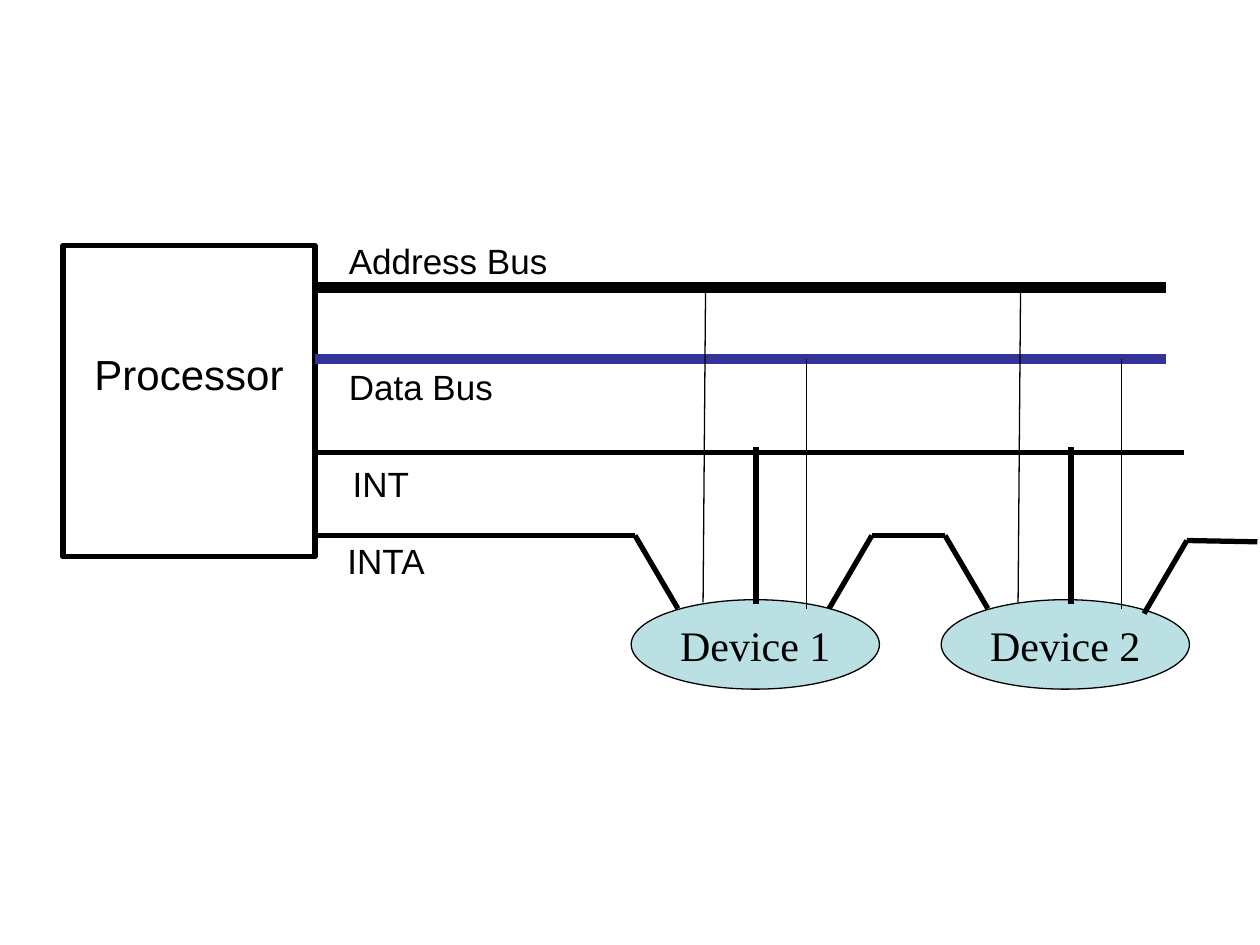
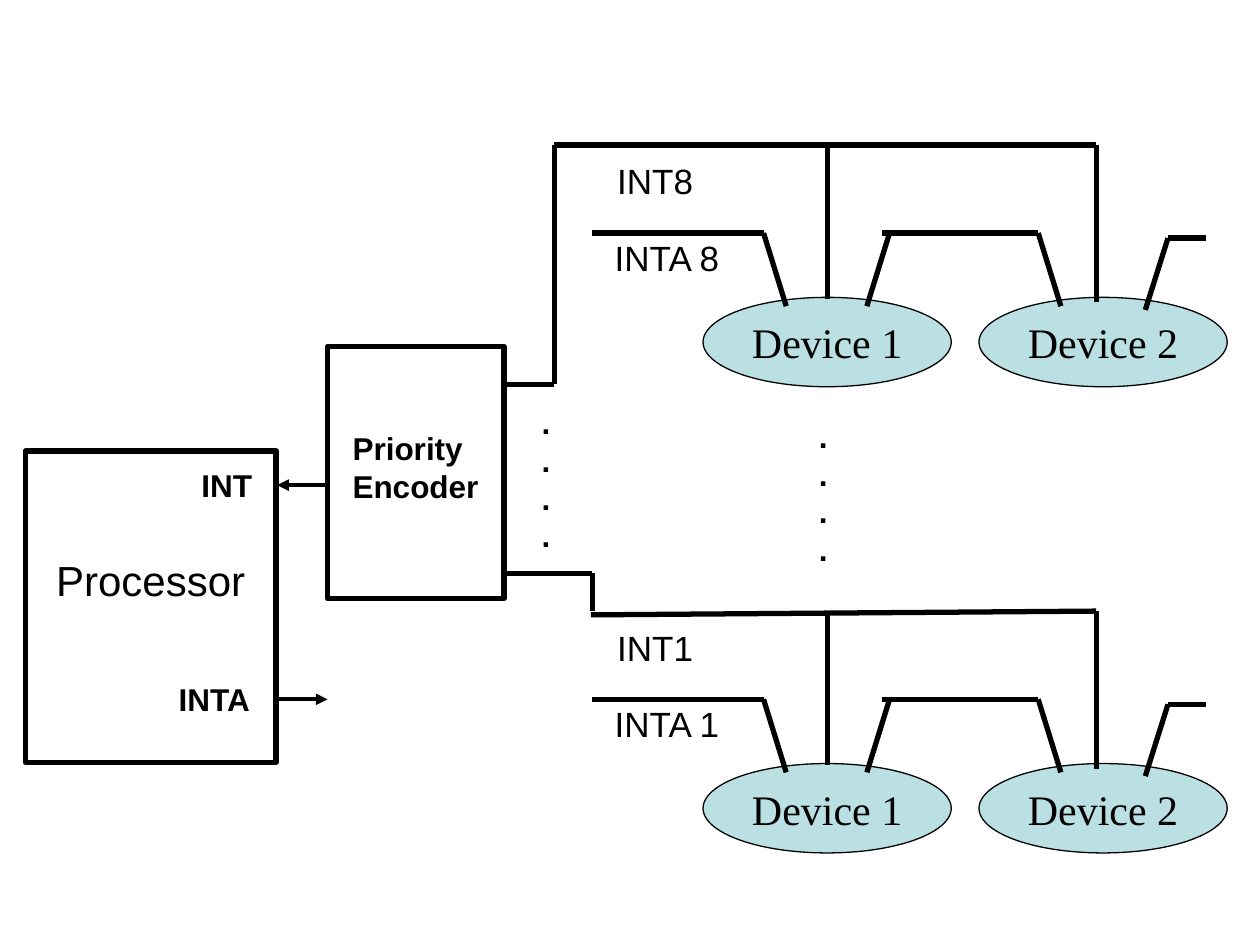
from lxml.etree import SubElement
from pptx import Presentation
from pptx.dml.color import RGBColor
from pptx.enum.shapes import MSO_CONNECTOR as Link, MSO_SHAPE as Shape
from pptx.enum.text import MSO_ANCHOR as Anchor, PP_ALIGN as Align
from pptx.oxml.ns import qn
from pptx.util import Inches, Pt

BLACK, BLUE, TEAL = "000000", "333399", "BBE0E3"
SANS, SERIF = "Arial", "Times New Roman"
THIN, MID, THICK, BUS = 0.75, 2.25, 3, 6
OVAL = (1.97, 0.71)


def put(slide, box, text="", size=20, kind=None, font=SANS, fill=None,
        weight=THICK, bold=False, wrap=True, top=0.05):
    """Add a text box, or a preset shape with centred text if kind is given."""
    place = [Inches(v) for v in box]
    if kind is None:
        item = slide.shapes.add_textbox(*place)
    else:
        item = slide.shapes.add_shape(kind, *place)
        item.shadow.inherit = False
        item.line.color.rgb = RGBColor.from_string(BLACK)
        item.line.width = Pt(weight)
        if fill:
            item.fill.solid()
            item.fill.fore_color.rgb = RGBColor.from_string(fill)
        else:
            item.fill.background()
    frame = item.text_frame
    frame.word_wrap = wrap
    frame.margin_top = Inches(top)
    frame.vertical_anchor = Anchor.MIDDLE if kind == Shape.OVAL else Anchor.TOP
    frame.text = text
    for par in frame.paragraphs:
        par.alignment = Align.CENTER if kind else Align.LEFT
        par.font.name, par.font.size, par.font.bold = font, Pt(size), bold
        par.font.color.rgb = RGBColor.from_string(BLACK)


def wire(slide, points, weight=THICK, color=BLACK, arrow=False):
    """Join each point to the next with a straight line."""
    for start, end in zip(points, points[1:]):
        link = slide.shapes.add_connector(
            Link.STRAIGHT, *[Inches(v) for v in (*start, *end)])
        link.line.color.rgb = RGBColor.from_string(color)
        link.line.width = Pt(weight)
        props = link._element.spPr
        if arrow:
            SubElement(props.find(qn("a:ln")), qn("a:tailEnd"), type="triangle")
        SubElement(props, qn("a:effectLst"))


deck = Presentation()
deck.slide_width, deck.slide_height = Inches(10), Inches(7.5)
blank = deck.slide_layouts[6]
cpu = dict(text="Processor", size=24, kind=Shape.RECTANGLE, wrap=False, top=0.82)
device = dict(size=24, kind=Shape.OVAL, font=SERIF, fill=TEAL, weight=THIN,
              wrap=False)

# Slide 1: devices in a daisy chain
chain = deck.slides.add_slide(blank)
put(chain, (0.5, 1.95, 2, 2.47), **cpu)
for y, end, weight, color in ((2.28, 9.25, BUS, BLACK), (2.85, 9.25, BUS, BLUE),
                              (3.59, 9.4, THICK, BLACK)):
    wire(chain, [(2.5, y), (end, y)], weight, color)
for x, y, name in ((2.67, 1.85, "Address Bus"), (2.67, 2.85, "Data Bus"),
                   (2.7, 3.62, "INT"), (2.66, 4.23, "INTA")):
    put(chain, (x, y, 2.23, 0.44), name)
for i in range(2):
    put(chain, (5.01 + 2.46 * i, 4.76, *OVAL), f"Device {i + 1}", **device)
    x = 2.5 * i
    wire(chain, [(5.58 + x, 4.78), (5.6 + x, 2.25)], THIN)
    wire(chain, [(6.4 + x, 4.83), (6.4 + x, 2.85)], THIN)
    wire(chain, [(6 + x, 3.55), (6 + x, 4.79)])
wire(chain, [(2.5, 4.25), (5.04, 4.25), (5.38, 4.83)])
wire(chain, [(6.58, 4.83), (6.92, 4.25), (7.5, 4.25), (7.84, 4.83)])
wire(chain, [(9.08, 4.87), (9.42, 4.29), (9.98, 4.3)])

# Slide 2: chains joined by a priority encoder
group = deck.slides.add_slide(blank)
put(group, (0.2, 3.58, 1.99, 2.47), **cpu)
for level, y, start in ((1, 4.85, (4.69, 4.88)), (8, 1.15, (4.4, 1.15))):
    for i in range(2):
        put(group, (5.58 + 2.19 * i, y + 1.21, *OVAL), f"Device {i + 1}", **device)
    put(group, (4.8, y + 0.07, 1.29, 0.44), f"INT{level}")
    put(group, (4.78, y + 0.68, 1.42, 0.44), f"INTA {level}")
    wire(group, [start, (8.7, y), (8.7, y + 1.25)])
    wire(group, [(6.57, y), (6.57, y + 1.22)])
    ack, tip = y + 0.7, y + 1.28
    wire(group, [(4.7, ack), (6.06, ack), (6.24, tip)])
    wire(group, [(7, ack), (8.24, ack), (8.42, tip)])
    wire(group, [(7.06, ack), (6.88, tip)])
    wire(group, [(9.09, y + 1.31), (9.27, y + 0.74), (9.57, y + 0.74)])

put(group, (2.6, 2.75, 1.4, 2), kind=Shape.RECTANGLE)
wire(group, [(4, 3.05), (4.4, 3.05), (4.4, 1.15)])
wire(group, [(4, 4.55), (4.7, 4.55), (4.7, 4.85)])
for x, y in ((6.4, 3.26), (4.2, 3.15)):
    put(group, (x, y, 0.27, 1.3), "\n".join("...."), 18, bold=True, wrap=False)
put(group, (2.7, 3.36, 1.44, 0.7), "Priority\nEncoder", 18, bold=True)
put(group, (1.5, 3.65, 0.6, 0.4), "INT", 18, bold=True, wrap=False)
put(group, (1.32, 5.35, 1.28, 0.4), "INTA", 18, bold=True)
wire(group, [(2.6, 3.85), (2.2, 3.85)], MID, arrow=True)
wire(group, [(2.2, 5.55), (2.6, 5.55)], MID, arrow=True)

deck.save("out.pptx")
